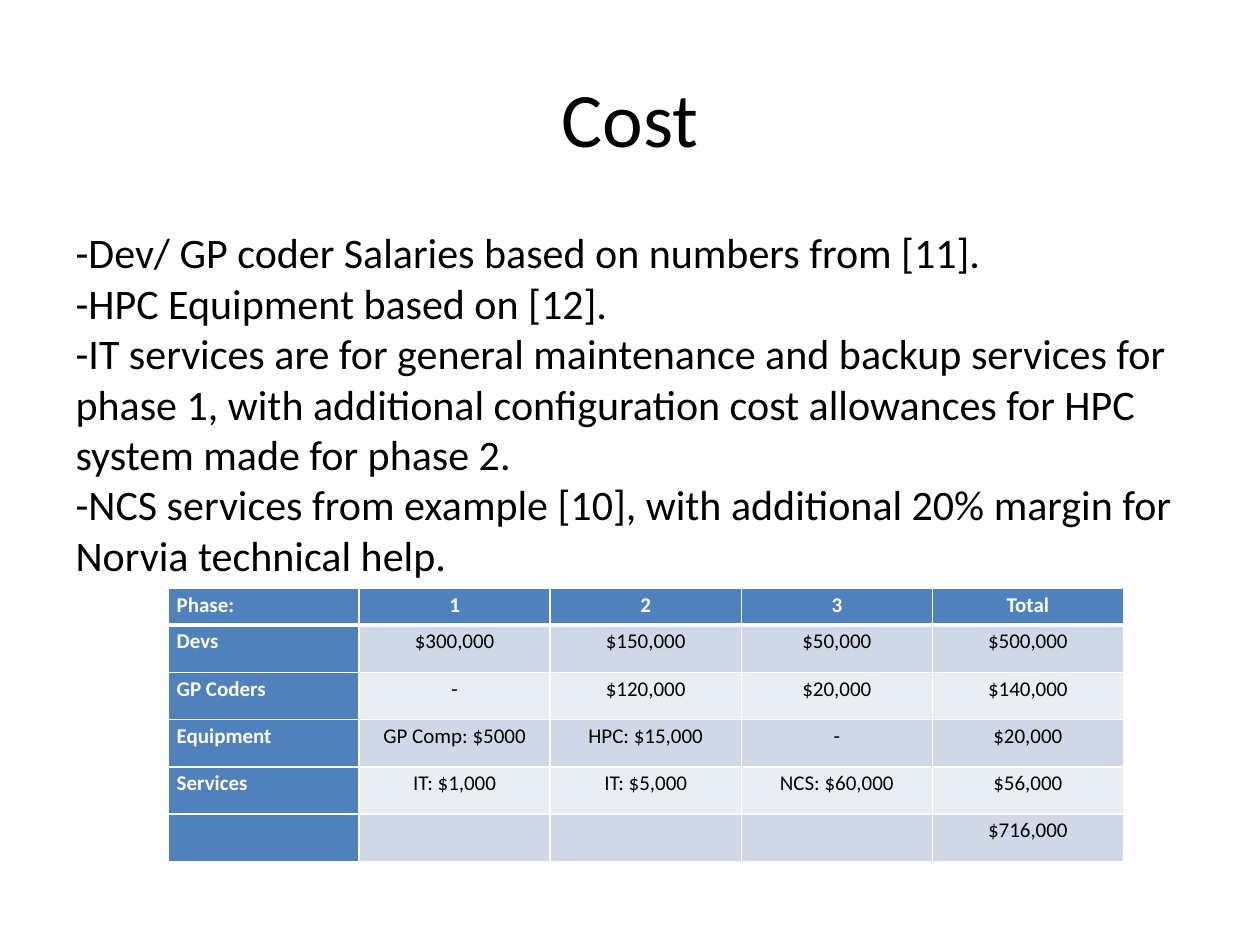
from dataclasses import dataclass

from lxml import etree
from pptx import Presentation
from pptx import util as u
from pptx.dml.color import RGBColor
from pptx.enum import text
from pptx.oxml.ns import qn


@dataclass(frozen=True)
class Theme:
    font: str = "Calibri"
    black: str = "000000"
    white: str = "FFFFFF"
    header: str = "4F81BD"
    bands: tuple = ("D0D8E8", "E9EDF4")
    title_size: int = 44
    body_size: int = 24
    table_size: int = 12


theme = Theme()


def style_font(font, size, color, bold=False):
    font.name = theme.font
    font.size = u.Pt(size)
    font.bold = bold
    font.color.rgb = RGBColor.from_string(color)


def add_borders(cell, widths):
    """Insert white borders ahead of the fill, as the schema requires."""
    properties = cell._tc.get_or_add_tcPr()
    for position, (side, width) in enumerate(widths.items()):
        line = etree.Element(qn(f"a:{side}"), w=str(u.Pt(width)))
        fill = etree.SubElement(line, qn("a:solidFill"))
        etree.SubElement(fill, qn("a:srgbClr"), val=theme.white)
        properties.insert(position, line)


presentation = Presentation()
presentation.slide_width, presentation.slide_height = u.Pt(720), u.Pt(540)
slide = presentation.slides.add_slide(presentation.slide_layouts[1])

# Title
title = slide.shapes.title
title.left, title.top, title.width, title.height = map(u.Pt, (36, 21.6, 648, 90))
title.text_frame.vertical_anchor = text.MSO_ANCHOR.MIDDLE
paragraph = title.text_frame.paragraphs[0]
paragraph.text = "Cost"
paragraph.alignment = text.PP_ALIGN.CENTER
style_font(paragraph.font, theme.title_size, theme.black)

# Cost notes: one paragraph with line breaks and no bullet
notes = [
    "-Dev/ GP coder Salaries based on numbers from [11].",
    "-HPC Equipment based on [12].",
    "-IT services are for general maintenance and backup services for phase 1, "
    "with additional configuration cost allowances for HPC system made for phase 2.",
    "-NCS services from example [10], with additional 20% margin for "
    "Norvia technical help.",
]
body = slide.placeholders[1]
body.left, body.top, body.width, body.height = map(u.Pt, (36, 126, 648, 356.4))
paragraph = body.text_frame.paragraphs[0]
paragraph.text = "\v".join(notes)
style_font(paragraph.font, theme.body_size, theme.black)
paragraph_properties = paragraph._p.get_or_add_pPr()
paragraph_properties.set("marL", "0")
paragraph_properties.set("indent", "0")
paragraph_properties.insert(0, etree.Element(qn("a:buNone")))

# Cost table
costs = [
    ["Phase:", "1", "2", "3", "Total"],
    ["Devs", "$300,000", "$150,000", "$50,000", "$500,000"],
    ["GP Coders", "-", "$120,000", "$20,000", "$140,000"],
    ["Equipment", "GP Comp: $5000", "HPC: $15,000", "-", "$20,000"],
    ["Services", "IT: $1,000", "IT: $5,000", "NCS: $60,000", "$56,000"],
    ["", "", "", "", "$716,000"],
]
header_height, row_height, column_width = 21, 27, 109.2
table = slide.shapes.add_table(
    len(costs), len(costs[0]), u.Pt(96), u.Pt(336.24),
    u.Pt(column_width * len(costs[0])),
    u.Pt(header_height + row_height * (len(costs) - 1)),
).table
for column in table.columns:
    column.width = u.Pt(column_width)

for row_index, values in enumerate(costs):
    table.rows[row_index].height = u.Pt(row_height if row_index else header_height)
    for column_index, value in enumerate(values):
        is_heading = row_index == 0 or column_index == 0
        cell = table.cell(row_index, column_index)
        cell.margin_left = cell.margin_right = u.Pt(5)
        cell.margin_top = cell.margin_bottom = 0
        cell.fill.solid()
        cell.fill.fore_color.rgb = RGBColor.from_string(
            theme.header if is_heading else theme.bands[(row_index - 1) % 2])
        add_borders(cell, {"lnL": 1, "lnR": 1,
                           "lnT": 3 if row_index == 1 else 1,
                           "lnB": 3 if row_index == 0 else 1})

        paragraph = cell.text_frame.paragraphs[0]
        paragraph.text = value
        paragraph.line_spacing = 1.15
        paragraph.space_after = u.Pt(10)
        paragraph.alignment = (text.PP_ALIGN.CENTER if column_index
                               else text.PP_ALIGN.LEFT)
        style_font(paragraph.font, theme.table_size,
                   theme.white if is_heading else theme.black, is_heading)

presentation.save("out.pptx")
